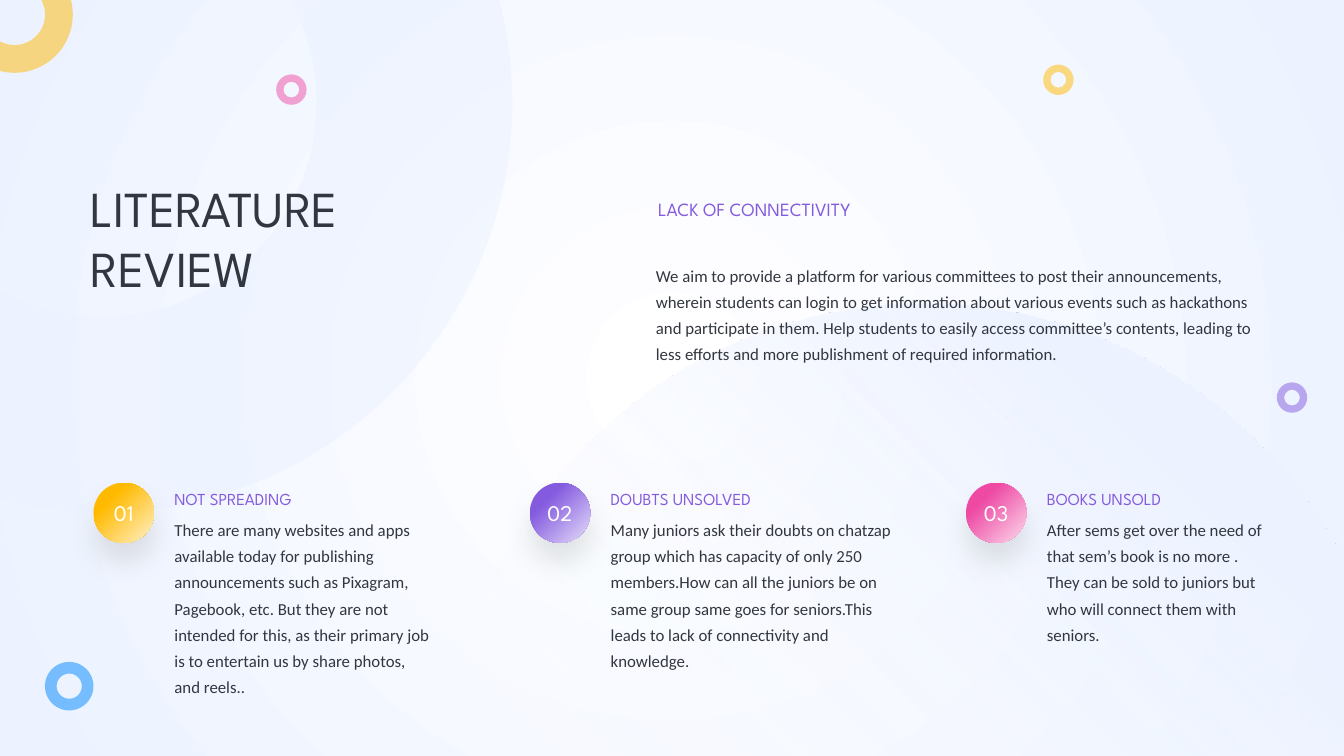
from math import acos, asin, cos, pi, sin, tan

from lxml.etree import SubElement
from pptx import Presentation
from pptx.dml.color import RGBColor
from pptx.enum.shapes import MSO_SHAPE
from pptx.enum.text import MSO_ANCHOR, MSO_AUTO_SIZE, PP_ALIGN
from pptx.oxml.ns import qn
from pptx.util import Pt

WHITE = RGBColor(0xFF, 0xFF, 0xFF)
PALE = RGBColor(0xEC, 0xF2, 0xFF)
INK = RGBColor(0x32, 0x36, 0x3F)
GRAY = RGBColor(0x80, 0x80, 0x80)
GOLD = RGBColor(0xFF, 0xBA, 0x00)
CREAM = RGBColor(0xFF, 0xF1, 0xCC)
VIOLET = RGBColor(0x84, 0x5B, 0xDF)
LILAC = RGBColor(0xE6, 0xDE, 0xF9)
PINK = RGBColor(0xEE, 0x4A, 0xA4)
BLUSH = RGBColor(0xFC, 0xDB, 0xED)
BLUE = RGBColor(0x00, 0x88, 0xFF)
HEAD, BODY = "League Spartan", "Calibri"
WIDE, HIGH = 1440, 810


def write(shape, text, font=BODY, size=18, color=INK, space=1.3,
          align=PP_ALIGN.LEFT, anchor=MSO_ANCHOR.TOP, wrap=True,
          fit=MSO_AUTO_SIZE.SHAPE_TO_FIT_TEXT):
    frame = shape.text_frame
    frame.text = text
    frame.word_wrap = wrap
    frame.auto_size = fit
    frame.vertical_anchor = anchor
    for para in frame.paragraphs:
        para.alignment = align
        para.line_spacing = space
        para.font.name = font
        para.font.size = Pt(size)
        para.font.color.rgb = color


def outline(shapes, arcs, corners=()):
    """Draw Bezier arcs (x, y, radius, angles) joined by lines, then corners."""
    points, curves = [], []
    for x, y, r, turns in arcs:
        points.append((x + r * cos(turns[0]), y + r * sin(turns[0])))
        for a, b in zip(turns, turns[1:]):
            k = 4 / 3 * tan((b - a) / 4)
            curves.append(len(points) - 1)
            points += [(x + r * (cos(a) - k * sin(a)), y + r * (sin(a) + k * cos(a))),
                       (x + r * (cos(b) + k * sin(b)), y + r * (sin(b) - k * cos(b))),
                       (x + r * cos(b), y + r * sin(b))]
    points = [(Pt(x), Pt(y)) for x, y in points + list(corners)]
    path = shapes.build_freeform(*points[0], scale=1.0)
    path.add_line_segments(points[1:])
    shape = path.convert_to_shape()
    lines = list(shape._element.spPr.iter(qn("a:lnTo")))
    for i in curves:
        curve = lines[i].makeelement(qn("a:cubicBezTo"))
        lines[i].addprevious(curve)
        for line in lines[i:i + 3]:
            curve.append(line[0])
            line.getparent().remove(line)
    shape.shadow.inherit = False
    shape.line.fill.background()
    return shape


deck = Presentation()
deck.slide_width, deck.slide_height = Pt(WIDE), Pt(HIGH)
slide = deck.slides.add_slide(deck.slide_layouts[5])
shapes = slide.shapes

# Backdrop with a radial gradient
back = shapes.add_shape(MSO_SHAPE.RECTANGLE, 0, 0, Pt(WIDE), Pt(HIGH))
back.shadow.inherit = False
back.line.fill.background()
back.fill.gradient()
for stop, color in zip(back.fill.gradient_stops, (WHITE, PALE)):
    stop.color.rgb = color
grad = back._element.spPr.find(qn("a:gradFill"))
grad.remove(grad.find(qn("a:lin")))
glow = SubElement(grad, qn("a:path"), path="circle")
SubElement(glow, qn("a:fillToRect"), l="50000", t="50000", r="50000", b="50000")

# Rings cut off by the top left corner: centre, outer and inner radius
rings = []
for mid, outer, inner, color, alpha in (
    (109.8, 439, 229.5, PALE, 59),
    (15.6, 62.4, 32.7, GOLD, 50),
):
    out, cut = asin(mid / outer), asin(mid / inner)
    ring = outline(shapes, [(mid, mid, outer, (-out, 0, pi / 2, pi / 2 + out)),
                            (mid, mid, inner, (pi / 2 + cut, pi / 2, 0, -cut))],
                   [(0, 0)][:0])
    rings.append((ring, color, alpha))

# Disc cut off by the bottom right corner
x, y, r = 988.6, 831, 505.5
turns = (pi + asin((y - HIGH) / r), 1.5 * pi, 2 * pi - acos((WIDE - x) / r))
disc = outline(shapes, [(x, y, r, turns)], [(WIDE, HIGH)])
disc.fill.gradient()
disc.fill.gradient_angle = 225
for stop, color, at in zip(disc.fill.gradient_stops, (PALE, WHITE), (0.23, 1)):
    stop.color.rgb = color
    stop.position = at
tint = list(disc._element.spPr.iter(qn("a:srgbClr")))[-1]
SubElement(tint, qn("a:alpha"), val="0")

# Title and introduction
title = shapes.title
title.left, title.top, title.width, title.height = Pt(90), Pt(186), Pt(365), Pt(138)
write(title, "LITERATURE\nREVIEW", font=HEAD, size=54, space=1, wrap=False)
shapes._spTree.append(title._element)

intro = shapes.add_textbox(Pt(695.7), Pt(274.5), Pt(672.5), Pt(118))
write(intro, "We aim to provide a platform for various committees to post their "
      "announcements, wherein students can login to get information about various "
      "events such as hackathons and participate in them. Help students to easily "
      "access committee’s contents, leading to less efforts and more publishment "
      "of required information.")
lead = shapes.add_textbox(Pt(698), Pt(201.6), Pt(551), Pt(35.3))
write(lead, "LACK OF CONNECTIVITY", font=HEAD, size=20, color=VIOLET)

# Three numbered problems
items = (
    ("NOT SPREADING", GOLD, CREAM, 288.7, 203,
     "There are many websites and apps available today for publishing "
     "announcements such as Pixagram, Pagebook, etc. But they are not intended "
     "for this, as their primary job is to entertain us by share photos, and "
     "reels.."),
    ("DOUBTS UNSOLVED", VIOLET, LILAC, 334.8, 175,
     "Many juniors ask their doubts on chatzap group which has capacity of only "
     "250 members.How can all the juniors be on same group same goes for "
     "seniors.This leads to lack of connectivity and knowledge."),
    ("BOOKS UNSOLD", PINK, BLUSH, 253.4, 147,
     "After sems get over the need of that sem’s book is no more . They can be "
     "sold to juniors but who will connect them with seniors."),
)
for i, (name, dark, light, width, height, text) in enumerate(items):
    shift = 467.4 * i
    badge = shapes.add_shape(MSO_SHAPE.OVAL, Pt(100.2 + shift), Pt(517),
                             Pt(64.8), Pt(64.8))
    badge.line.fill.background()
    badge.fill.gradient()
    badge.fill.gradient_angle = 315
    for stop, color, at in zip(badge.fill.gradient_stops, (dark, light), (0.28, 1)):
        stop.color.rgb = color
        stop.position = at
    badge.shadow.inherit = False
    effect = badge._element.spPr.find(qn("a:effectLst"))
    shade = SubElement(effect, qn("a:outerShdw"), blurRad=str(Pt(28)),
                       dist=str(Pt(21)), dir="5400000", algn="t", rotWithShape="0")
    tint = SubElement(shade, qn("a:srgbClr"), val=str(GRAY))
    SubElement(tint, qn("a:alpha"), val="20000")
    write(badge, f"{i + 1:02}", font=HEAD, size=24, color=WHITE, space=1,
          align=PP_ALIGN.CENTER, anchor=MSO_ANCHOR.MIDDLE, wrap=False,
          fit=MSO_AUTO_SIZE.NONE)
    body = shapes.add_textbox(Pt(179.8 + shift), Pt(546.9), Pt(width), Pt(height))
    write(body, text)
    label = shapes.add_textbox(Pt(179.8 + shift), Pt(514), Pt(253.4), Pt(33))
    write(label, name, font=HEAD, color=VIOLET)

# Small whole rings
for left, top, size, color in (
    (295.9, 79.7, 32.6, PINK),
    (1117.7, 69.2, 32.6, GOLD),
    (48.2, 709.2, 52, BLUE),
    (1368, 409.7, 32.6, VIOLET),
):
    ring = shapes.add_shape(MSO_SHAPE.DONUT, Pt(left), Pt(top), Pt(size), Pt(size))
    ring.adjustments[0] = 0.24
    ring.shadow.inherit = False
    ring.line.fill.background()
    rings.append((ring, color, 50))

for ring, color, alpha in rings:
    ring.fill.solid()
    ring.fill.fore_color.rgb = color
    tint = next(ring._element.spPr.iter(qn("a:srgbClr")))
    SubElement(tint, qn("a:alpha"), val=str(alpha * 1000))

deck.save("out.pptx")
